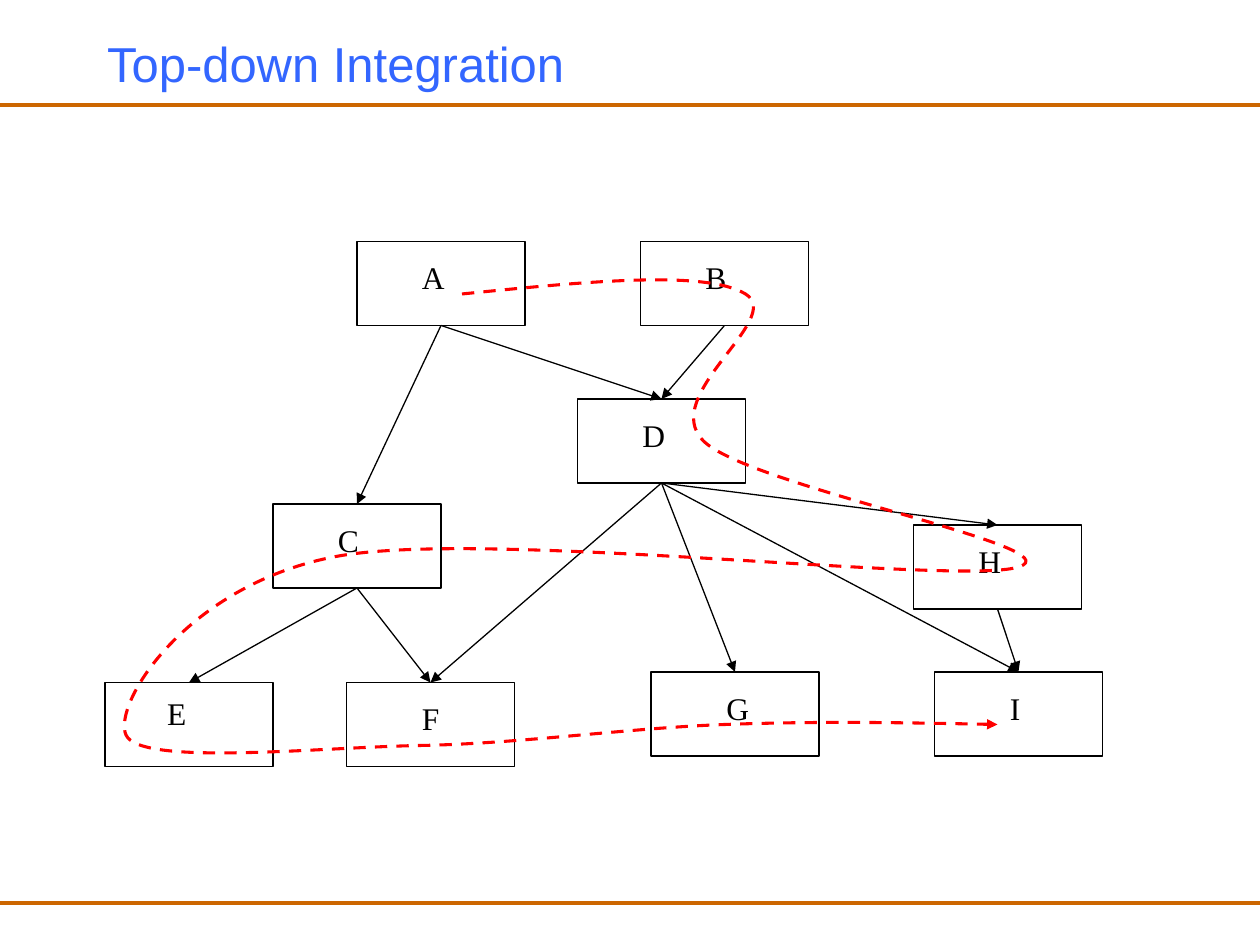
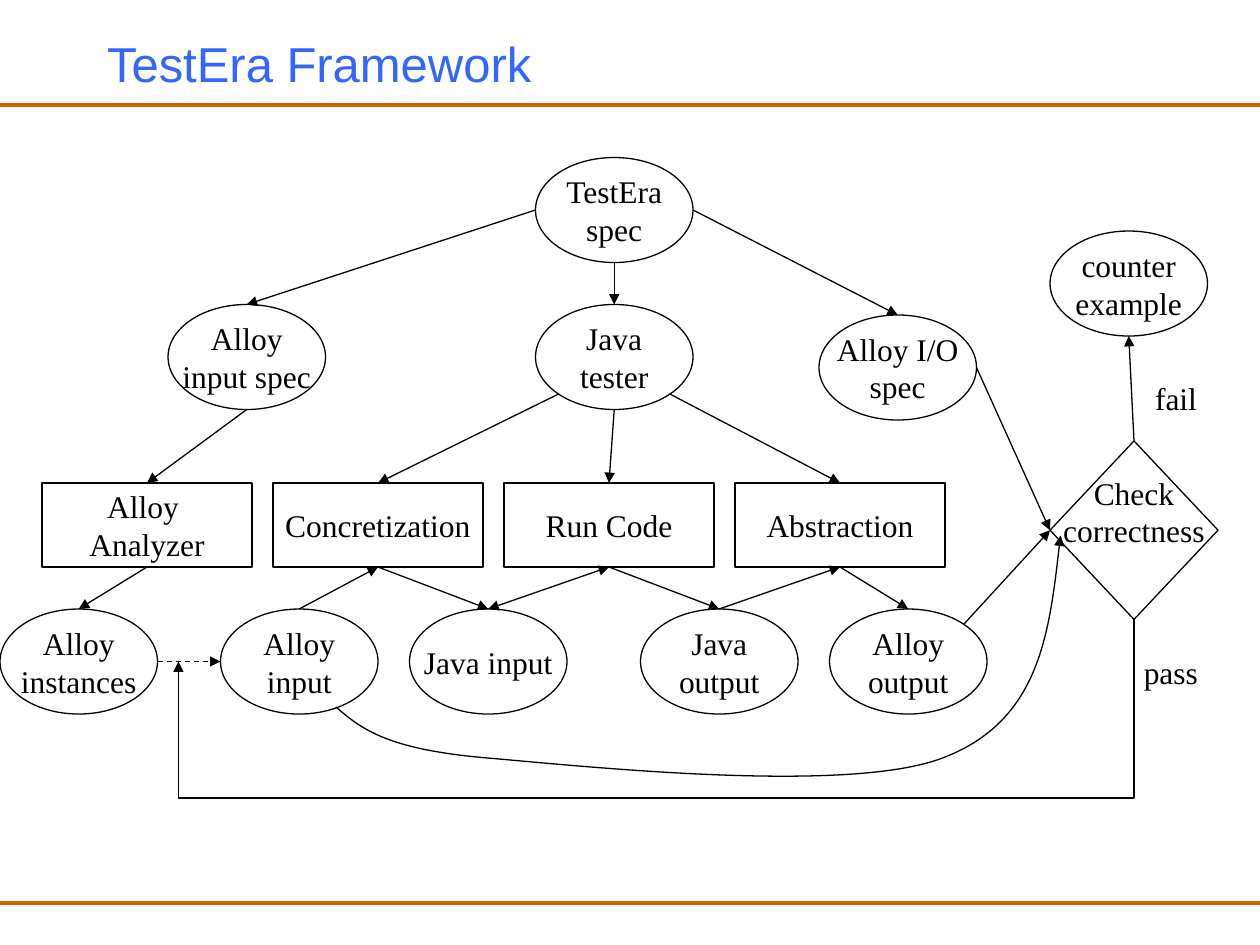
from lxml import etree
from pptx import Presentation
from pptx.dml.color import RGBColor
from pptx.enum import dml, shapes, text
from pptx.oxml import ns
from pptx.util import Pt

BLACK, RED, BLUE, ORANGE = "000000", "FF0000", "3366FF", "CC6600"
LABEL_FONT = {"name": "Times New Roman", "size": Pt(18)}
LABEL_FRAME = {"word_wrap": False,
               "auto_size": text.MSO_AUTO_SIZE.SHAPE_TO_FIT_TEXT}
NODE_FRAME = {"word_wrap": False, "vertical_anchor": text.MSO_ANCHOR.MIDDLE}
TITLE_FONT = {"name": "Arial", "size": Pt(28)}
TITLE_BOX = {"left": Pt(54), "top": Pt(12), "width": Pt(612), "height": Pt(48)}
RULE_HEIGHTS = (60, 516)

RECT = shapes.MSO_SHAPE.RECTANGLE
OVAL = shapes.MSO_SHAPE.OVAL
DIAMOND = shapes.MSO_SHAPE.DIAMOND
DASH = dml.MSO_LINE.DASH

SIDES = {
    "top": (0.5, 0), "left": (0, 0.5), "bottom": (0.5, 1), "right": (1, 0.5),
    "lower left": (0.15, 0.85), "lower right": (0.85, 0.85),
    "upper right": (0.85, 0.15),
}
SITES = {"top": 0, "left": 1, "bottom": 2, "right": 3}


def apply_format(target, values):
    for name, value in values.items():
        setattr(target, name, value)


def paint(color_format, hex_color):
    color_format.rgb = RGBColor.from_string(hex_color)


def write(frame, words, font, hex_color, align):
    frame.text = words
    for paragraph in frame.paragraphs:
        paragraph.alignment = align
        for run in paragraph.runs:
            apply_format(run.font, font)
            paint(run.font.color, hex_color)


def outline(shape, hex_color=BLACK, width=0.75, dash=None, arrows=()):
    paint(shape.line.color, hex_color)
    shape.line.width = Pt(width)
    if dash:
        shape.line.dash_style = dash
    line = shape._element.spPr.find(ns.qn("a:ln"))
    for arrow in arrows:
        etree.SubElement(line, ns.qn(f"a:{arrow}"), type="triangle")


def add_line(slide, start, end, **style):
    line = slide.shapes.add_connector(
        shapes.MSO_CONNECTOR.STRAIGHT, *start, *end)
    outline(line, **style)
    etree.SubElement(line._element.spPr, ns.qn("a:effectLst"))
    return line


def side_point(node, side):
    across, down = SIDES[side]
    return (round(node.left + across * node.width),
            round(node.top + down * node.height))


def can_join(node, side):
    return side == "top" or (side in SITES and node.auto_shape_type != OVAL)


def link(slide, source, target, leave="bottom", enter="top", dash=None,
         arrows=("tailEnd",)):
    line = add_line(slide, side_point(source, leave),
                    side_point(target, enter), dash=dash, arrows=arrows)
    if can_join(source, leave):
        line.begin_connect(source, SITES[leave])
    if can_join(target, enter):
        line.end_connect(target, SITES[enter])


def add_node(slide, kind, left, top, width, height, words=""):
    node = slide.shapes.add_shape(
        kind, Pt(left), Pt(top), Pt(width), Pt(height))
    node.shadow.inherit = False
    node.fill.background()
    outline(node)
    if words:
        apply_format(node.text_frame, NODE_FRAME)
        write(node.text_frame, words, LABEL_FONT, BLACK, text.PP_ALIGN.CENTER)
    return node


def add_label(slide, words, left, top, width):
    label = slide.shapes.add_textbox(Pt(left), Pt(top), Pt(width), Pt(29))
    apply_format(label.text_frame, LABEL_FRAME)
    write(label.text_frame, words, LABEL_FONT, BLACK, text.PP_ALIGN.LEFT)


def add_route(slide, points, curved=False, **style):
    start, *rest = [(Pt(x), Pt(y)) for x, y in points]
    builder = slide.shapes.build_freeform(*start)
    builder.add_line_segments(rest, close=False)
    route = builder.convert_to_shape()
    route.shadow.inherit = False
    route.fill.background()
    outline(route, arrows=("tailEnd",), **style)
    if curved:
        bend(route)


def bend(route):
    outline_path = next(route._element.iter(ns.qn("a:path")))
    steps = outline_path.findall(ns.qn("a:lnTo"))
    for first in range(0, len(steps), 3):
        curve = etree.SubElement(outline_path, ns.qn("a:cubicBezTo"))
        for step in steps[first:first + 3]:
            curve.append(step[0])
            outline_path.remove(step)


def add_titled_slide(deck, words):
    slide = deck.slides.add_slide(deck.slide_layouts[5])
    for height in RULE_HEIGHTS:
        add_line(slide, (0, Pt(height)), (deck.slide_width, Pt(height)),
                 hex_color=ORANGE, width=2)
    title = slide.shapes.title
    apply_format(title, TITLE_BOX)
    title.text_frame.vertical_anchor = text.MSO_ANCHOR.MIDDLE
    write(title.text_frame, words, TITLE_FONT, BLUE, text.PP_ALIGN.LEFT)
    return slide


def build_integration(deck):
    slide = add_titled_slide(deck, "Top-down Integration")
    modules = {}
    for name, left, top, indent, drop, label_width in (
            ("A", 204, 138, 30, 6, 27.4), ("B", 366, 138, 30, 6, 26.4),
            ("C", 156, 288, 30, 6, 26.4), ("D", 330, 228, 30, 6, 27.4),
            ("E", 60, 390, 28.5, 3, 25.4), ("F", 198, 390, 36, 6, 24.5),
            ("G", 372, 384, 36, 6, 27.4), ("H", 522, 300, 30, 6, 27.4),
            ("I", 534, 384, 36, 6, 20.4)):
        modules[name] = add_node(slide, RECT, left, top, 96, 48)
        add_label(slide, name, left + indent, top + drop, label_width)
    for caller, callees in {"A": "CD", "B": "D", "C": "EF",
                            "D": "FGHI", "H": "I"}.items():
        for callee in callees:
            link(slide, modules[caller], modules[callee])
    integration_order = (
        (264, 168), (333.5, 161), (403, 154), (426, 168),
        (449, 182), (376, 226), (402, 252),
        (428, 278), (617, 313), (582, 324),
        (547, 335), (277, 302), (192, 318),
        (107, 334), (64, 402), (72, 420),
        (80, 438), (183, 427), (240, 426),
        (297, 425), (359, 416), (414, 414),
        (469, 412), (520, 413), (570, 414))
    add_route(slide, integration_order, curved=True,
              hex_color=RED, width=1.75, dash=DASH)


def build_framework(deck):
    slide = add_titled_slide(deck, "TestEra Framework")

    def oval(left, top, words):
        return add_node(slide, OVAL, left, top, 90, 60, words)

    testera = oval(306, 90, "TestEra\nspec")
    input_spec = oval(96, 174, "Alloy\ninput spec")
    tester = oval(306, 174, "Java\ntester")
    io_spec = oval(468, 180, "Alloy I/O\nspec")
    counterexample = oval(600, 132, "counter\nexample")
    analyzer, concretization, run_code, abstraction = [
        add_node(slide, RECT, 24 + 132 * column, 276, 120, 48, words)
        for column, words in enumerate(
            ("Alloy \nAnalyzer", "Concretization", "Run Code", "Abstraction"))]
    instances, alloy_input, java_input, java_output, alloy_output = [
        oval(left, 348, words) for left, words in (
            (0, "Alloy\ninstances"), (126, "Alloy\ninput"),
            (234, "Java input"), (366, "Java\noutput"),
            (474, "Alloy\noutput"))]
    check = add_node(slide, DIAMOND, 600, 252, 96, 102, "Check\ncorrectness")
    check.text_frame.margin_bottom = Pt(25)

    for source, leave, target, enter in (
            (testera, "left", input_spec, "top"),
            (testera, "bottom", tester, "top"),
            (testera, "right", io_spec, "top"),
            (input_spec, "bottom", analyzer, "top"),
            (analyzer, "bottom", instances, "top"),
            (tester, "lower left", concretization, "top"),
            (tester, "bottom", run_code, "top"),
            (tester, "lower right", abstraction, "top"),
            (alloy_input, "top", concretization, "bottom"),
            (concretization, "bottom", java_input, "top"),
            (run_code, "bottom", java_output, "top"),
            (java_output, "top", abstraction, "bottom"),
            (abstraction, "bottom", alloy_output, "top"),
            (io_spec, "right", check, "left"),
            (alloy_output, "upper right", check, "left"),
            (check, "top", counterexample, "bottom")):
        link(slide, source, target, leave, enter)
    link(slide, instances, alloy_input, "right", "left", dash=DASH)
    link(slide, java_input, run_code, "top", "bottom",
         arrows=("headEnd", "tailEnd"))

    add_route(slide, ((648, 354), (648, 456), (102, 456), (102, 378)))
    add_route(slide, (
        (192, 404), (206, 416), (220, 428), (277, 433),
        (335, 438), (485, 454), (539, 433),
        (594, 412), (600, 359), (606, 306)), curved=True)
    add_label(slide, "fail", 653, 213, 39)
    add_label(slide, "pass", 646.5, 369.5, 46)


def main():
    deck = Presentation()
    apply_format(deck, {"slide_width": Pt(720), "slide_height": Pt(540)})
    build_integration(deck)
    build_framework(deck)
    deck.save("out.pptx")


if __name__ == "__main__":
    main()
